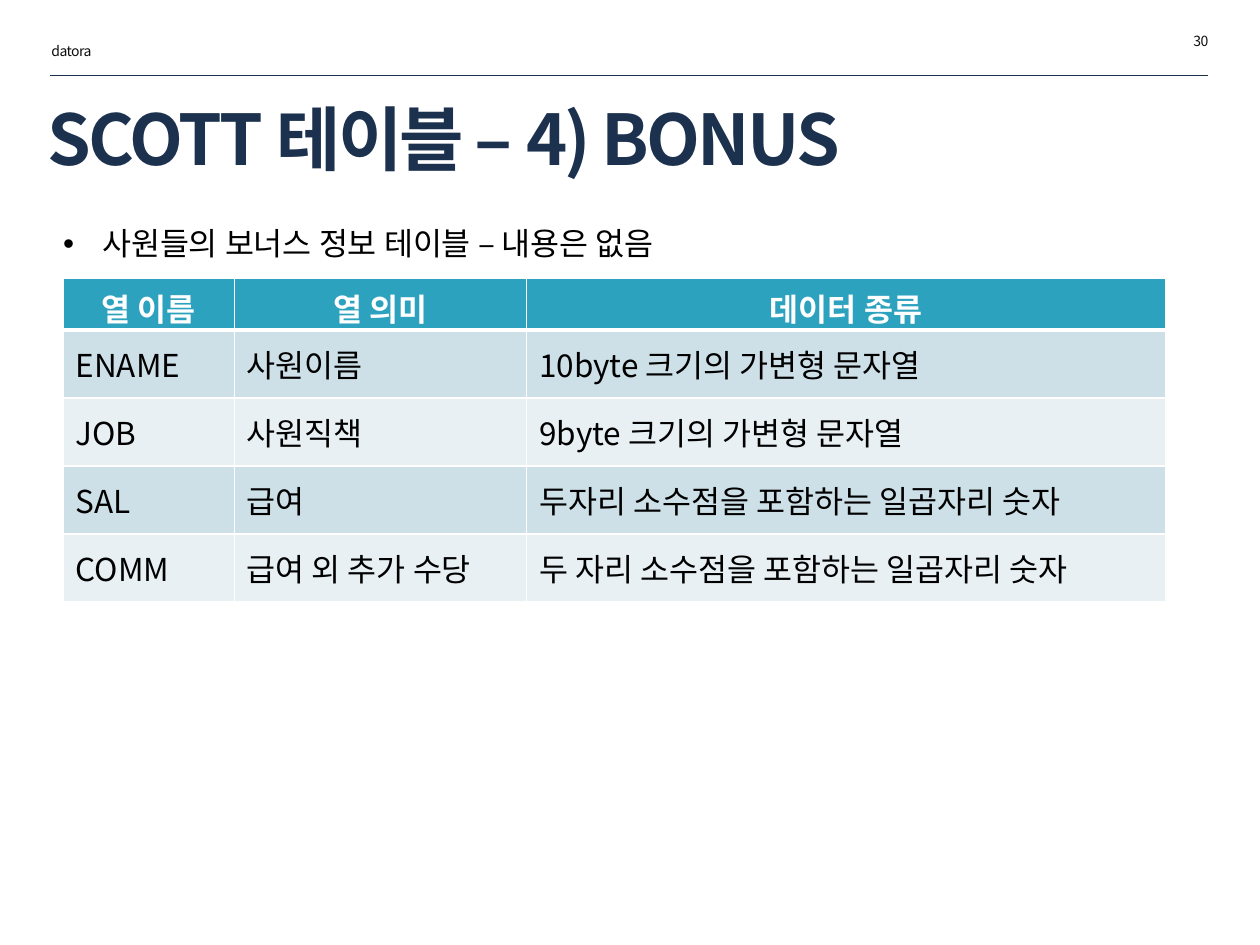
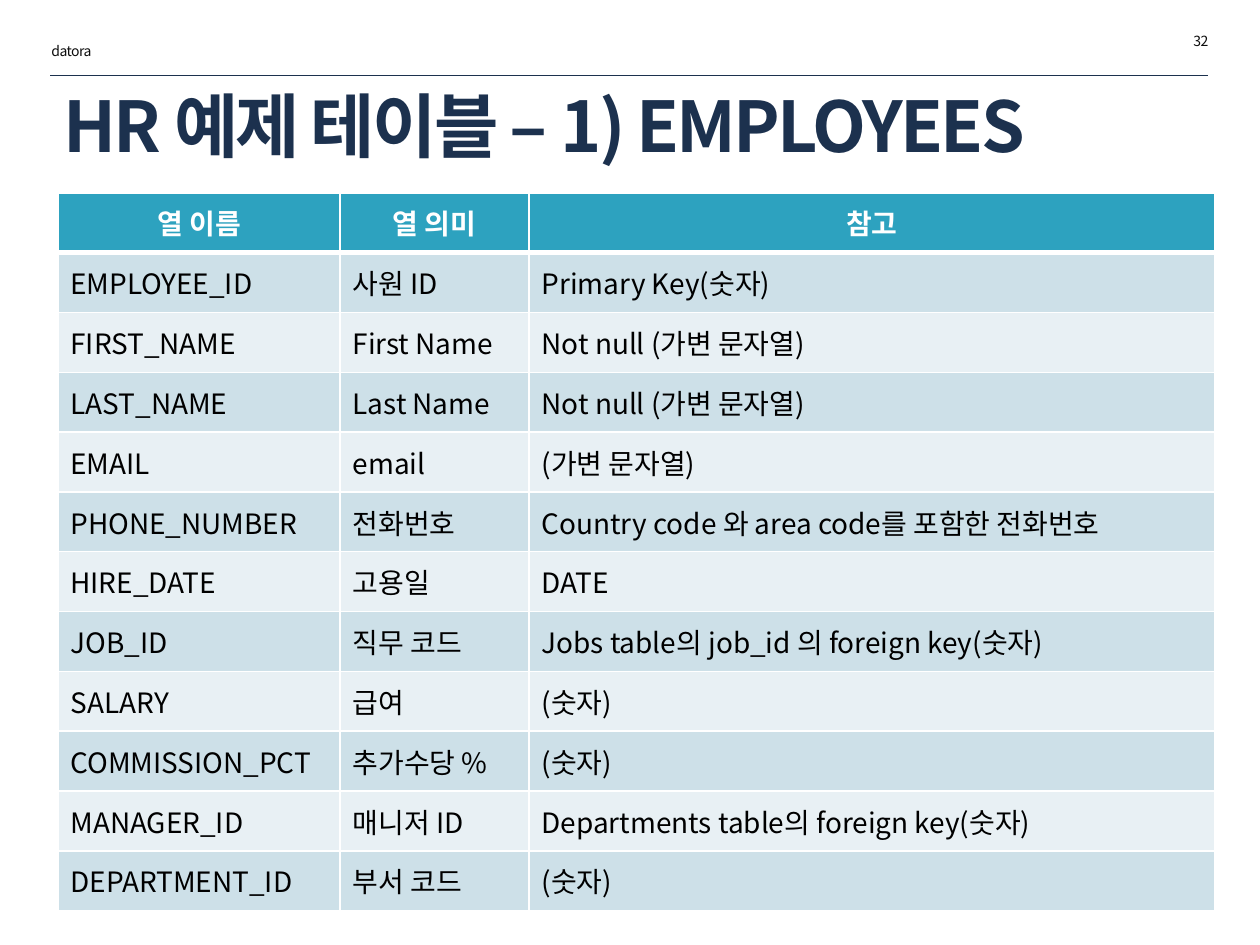
from lxml import etree
from pptx import Presentation
from pptx import util as u
from pptx.dml.color import RGBColor
from pptx.enum import shapes, text
from pptx.oxml import ns

FONT = "Noto Sans CJK KR"
NAVY, INK, BLACK, WHITE = "1C314E", "0D0D0D", "000000", "FFFFFF"
TEAL, BANDS = "2DA2BF", ("CDE0E8", "E8F0F4")
TITLE_ONLY, TITLE_AND_BODY = 5, 1


def rgb(value):
    return RGBColor.from_string(value)


class Deck:
    def __init__(self):
        self.prs = Presentation()
        self.prs.slide_width, self.prs.slide_height = u.Inches(10), u.Inches(7.5)
        self.s = None

    def add_text(self, tf, content, size, color, bold=False, align="LEFT", spacing=None):
        p = tf.paragraphs[0]
        for name, value in {"alignment": getattr(text.PP_ALIGN, align),
                            "space_before": u.Pt(0)}.items():
            setattr(p, name, value)
        r = p.add_run()
        r.text = content
        for name, value in {"size": u.Pt(size), "bold": bold, "name": FONT}.items():
            setattr(r.font, name, value)
        r.font.color.rgb = rgb(color)
        rPr = r._r.get_or_add_rPr()
        etree.SubElement(rPr, ns.qn("a:ea"), typeface=FONT)
        if spacing is not None:
            rPr.set("spc", str(int(spacing * 100)))
        return p

    def place(self, sp, box):
        for name, value in zip(("left", "top", "width", "height"), box):
            setattr(sp, name, u.Inches(value))

    def frame(self, sp, anchor, auto_size):
        tf = sp.text_frame
        for name, value in {"word_wrap": True, "vertical_anchor": anchor,
                            "auto_size": auto_size}.items():
            setattr(tf, name, value)
        return tf

    def label(self, content, left, top, align):
        sp = self.s.shapes.add_textbox(*map(u.Inches, (left, top, 1.73, 0.24)))
        tf = self.frame(sp, text.MSO_ANCHOR.TOP, text.MSO_AUTO_SIZE.SHAPE_TO_FIT_TEXT)
        self.add_text(tf, content, 8, INK, align=align, spacing=-0.3)

    def rule(self):
        line = self.s.shapes.add_connector(
            shapes.MSO_CONNECTOR.STRAIGHT, *map(u.Inches, (0.4, 0.6, 9.59, 0.6)))
        line.line.color.rgb = rgb(NAVY)
        line.line.width = u.Pt(0.25)
        etree.SubElement(line._element.spPr, ns.qn("a:effectLst"))

    def slide(self, layout, title, title_box, number):
        self.s = self.prs.slides.add_slide(self.prs.slide_layouts[layout])
        self.rule()
        sp = self.s.shapes.title
        self.place(sp, title_box)
        tf = self.frame(sp, text.MSO_ANCHOR.MIDDLE, text.MSO_AUTO_SIZE.NONE)
        self.add_text(tf, title, 40, NAVY, bold=True, spacing=-1.5)
        self.label(number, 7.96, 0.21, "RIGHT")
        self.label("datora", 0.31, 0.29, "LEFT")

    def bullet(self, content, box):
        sp = self.s.placeholders[1]
        self.place(sp, box)
        tf = self.frame(sp, text.MSO_ANCHOR.TOP, text.MSO_AUTO_SIZE.SHAPE_TO_FIT_TEXT)
        pPr = self.add_text(tf, content, 18, BLACK)._p.get_or_add_pPr()
        indent = u.Inches(0.31)
        pPr.set("marL", str(indent))
        pPr.set("indent", str(-indent))
        etree.SubElement(pPr, ns.qn("a:buChar"), char="•")

    def borders(self, cell, top, bottom):
        tcPr = cell._tc.get_or_add_tcPr()
        for i, (side, width) in enumerate((("L", 1), ("R", 1), ("T", top), ("B", bottom))):
            ln = etree.Element(ns.qn("a:ln" + side), w=str(u.Pt(width)))
            fill = etree.SubElement(ln, ns.qn("a:solidFill"))
            etree.SubElement(fill, ns.qn("a:srgbClr"), val=WHITE)
            tcPr.insert(i, ln)

    def table(self, rows, left, top, widths, heights, size, header_anchor):
        shape = self.s.shapes.add_table(
            len(rows), len(widths), *map(u.Inches, (left, top, sum(widths), sum(heights))))
        table = shape.table
        table.horz_banding = False
        for column, width in zip(table.columns, widths):
            column.width = u.Inches(width)
        for i, (row, height) in enumerate(zip(rows, heights)):
            table.rows[i].height = u.Inches(height)
            header = i == 0
            for j, content in enumerate(row):
                cell = table.cell(i, j)
                cell.fill.solid()
                cell.fill.fore_color.rgb = rgb(TEAL if header else BANDS[(i - 1) % 2])
                cell.vertical_anchor = header_anchor if header else text.MSO_ANCHOR.MIDDLE
                if header and header_anchor == text.MSO_ANCHOR.TOP:
                    cell.margin_bottom = 0
                self.borders(cell, 3 if i == 1 else 1, 3 if header else 1)
                self.add_text(cell.text_frame, content, size, WHITE if header else BLACK,
                              bold=header, align="CENTER" if header else "LEFT")


BONUS = [
    ("열 이름", "열 의미", "데이터 종류"),
    ("ENAME", "사원이름", "10byte 크기의 가변형 문자열"),
    ("JOB", "사원직책", "9byte 크기의 가변형 문자열"),
    ("SAL", "급여", "두자리 소수점을 포함하는 일곱자리 숫자"),
    ("COMM", "급여 외 추가 수당", "두 자리 소수점을 포함하는 일곱자리 숫자"),
]

EMPLOYEES = [
    ("열 이름", "열 의미", "참고"),
    ("EMPLOYEE_ID", "사원 ID", "Primary Key(숫자)"),
    ("FIRST_NAME", "First Name", "Not null (가변 문자열)"),
    ("LAST_NAME", "Last Name", "Not null (가변 문자열)"),
    ("EMAIL", "email", "(가변 문자열)"),
    ("PHONE_NUMBER", "전화번호", "Country code 와 area code를 포함한 전화번호"),
    ("HIRE_DATE", "고용일", "DATE"),
    ("JOB_ID", "직무 코드", "Jobs table의 job_id 의 foreign key(숫자)"),
    ("SALARY", "급여", "(숫자)"),
    ("COMMISSION_PCT", "추가수당 %", "(숫자)"),
    ("MANAGER_ID", "매니저 ID", "Departments table의 foreign key(숫자)"),
    ("DEPARTMENT_ID", "부서 코드", "(숫자)"),
]


def main():
    deck = Deck()

    deck.slide(TITLE_AND_BODY, "SCOTT 테이블 – 4) BONUS", (0.28, 0.77, 7.65, 0.64), "30")
    deck.bullet("사원들의 보너스 정보 테이블 – 내용은 없음", (0.4, 1.73, 9.19, 0.4))
    deck.table(BONUS, 0.5, 2.21, (1.36, 2.32, 5.07), [0.41] + [0.54] * 4, 18,
               text.MSO_ANCHOR.TOP)

    deck.slide(TITLE_ONLY, "HR 예제 테이블 – 1) EMPLOYEES", (0.4, 0.67, 9.31, 0.64), "32")
    deck.table(EMPLOYEES, 0.46, 1.53, (2.24, 1.5, 5.44),
               [5.7 / len(EMPLOYEES)] * len(EMPLOYEES), 16, text.MSO_ANCHOR.MIDDLE)

    deck.prs.save("out.pptx")


if __name__ == "__main__":
    main()
